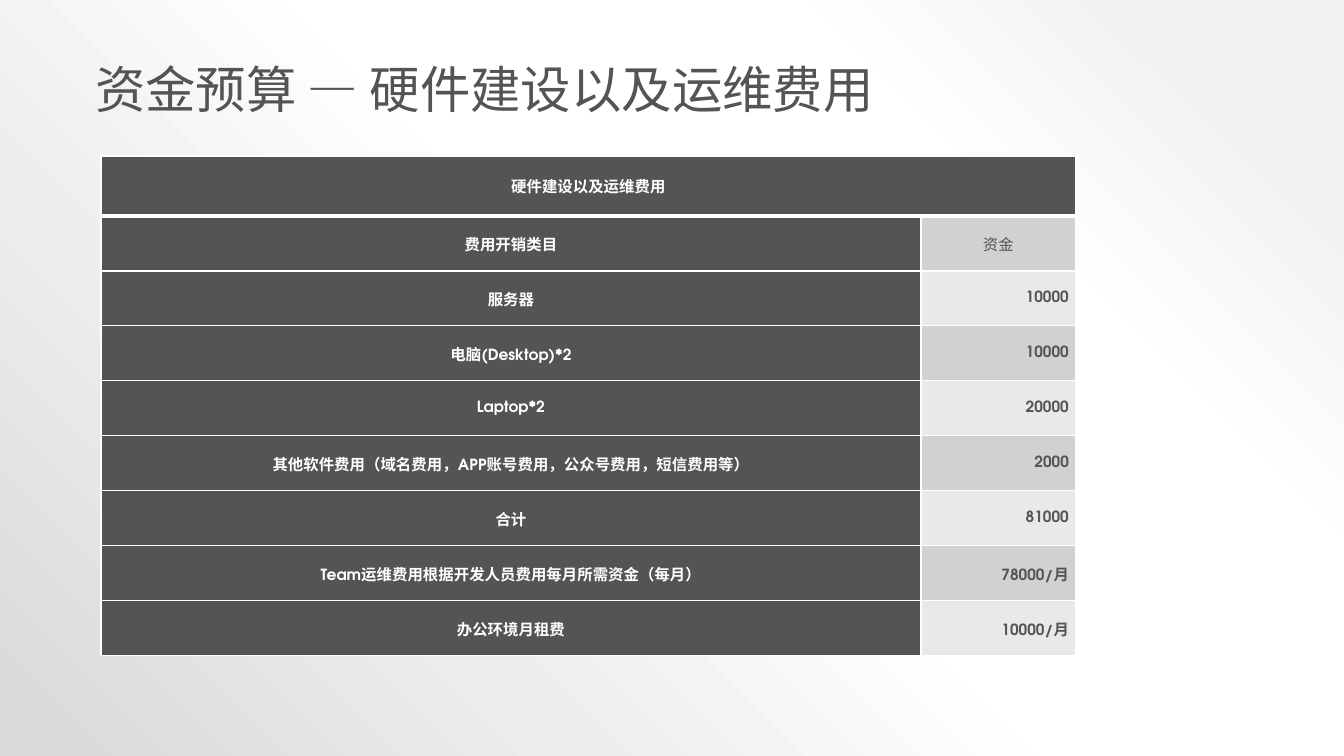
from lxml import etree
from pptx import Presentation
from pptx import util as u
from pptx.dml.color import RGBColor
from pptx.enum import text
from pptx.oxml import parse_xml
from pptx.oxml.ns import nsdecls, qn

SCALE = 914400 / 100.8
COLORS = {"dark": "545454", "white": "FFFFFF", "band": "D1D1D1",
          "light": "E9E9E9", "glow": "F2F2F2", "shade": "D9D9D9"}
LATIN, CHINESE = "TeX Gyre Adventor", "Noto Sans CJK SC"
TITLE = "资金预算 — 硬件建设以及运维费用"
HEADER = "硬件建设以及运维费用"
COSTS = [
    ("费用开销类目", "资金"),
    ("服务器", "10000"),
    ("电脑(Desktop)*2", "10000"),
    ("Laptop*2", "20000"),
    ("其他软件费用（域名费用，APP账号费用，公众号费用，短信费用等）", "2000"),
    ("合计", "81000"),
    ("Team运维费用根据开发人员费用每月所需资金（每月）", "78000/月"),
    ("办公环境月租费", "10000/月"),
]


def px(length):
    """Turn pixels into EMU."""
    return u.Emu(round(length * SCALE))


def color(name):
    """Look up a named colour."""
    return RGBColor.from_string(COLORS[name])


def style_text(para, size, latin, tint, bold=False):
    """Set the font of a whole paragraph, Chinese face included."""
    font = para.font
    font.size, font.name, font.bold = u.Pt(size), latin, bold
    font.color.rgb = color(tint)
    face = para._p.pPr.find(qn("a:defRPr")).find(qn("a:latin"))
    east = etree.Element(qn("a:ea"), typeface=CHINESE)
    face.addnext(east)


def paint_background(page):
    """Fill the page with a radial gradient centred on its top right corner."""
    page.background.fill.gradient()
    stops = [(10, "glow"), (28, "white"), (48, "white"), (100, "shade")]
    marks = "".join(f'<a:gs pos="{place * 1000}"><a:srgbClr val="{COLORS[name]}"/></a:gs>'
                    for place, name in stops)
    gradient = page.element.find(".//" + qn("a:gradFill"))
    gradient.getparent().replace(gradient, parse_xml(
        f'<a:gradFill {nsdecls("a")} rotWithShape="1"><a:gsLst>{marks}</a:gsLst>'
        '<a:path path="circle"><a:fillToRect l="100000" b="100000"/></a:path></a:gradFill>'))


def add_title(page, left, top, width, height):
    """Place the page heading in the title placeholder."""
    title = page.shapes.title
    title.left, title.top, title.width, title.height = map(px, (left, top, width, height))
    frame = title.text_frame
    frame.text = TITLE
    frame.word_wrap = True
    frame.auto_size = text.MSO_AUTO_SIZE.NONE
    frame.vertical_anchor = text.MSO_ANCHOR.MIDDLE
    para = frame.paragraphs[0]
    para.alignment = text.PP_ALIGN.LEFT
    style_text(para, 36, CHINESE, "dark")


def draw_borders(cell, top, bottom):
    """Give a cell white borders, with top and bottom widths in points."""
    properties = cell._tc.get_or_add_tcPr()
    for side, width in (("L", 1), ("R", 1), ("T", top), ("B", bottom)):
        properties.append(parse_xml(
            f'<a:ln{side} {nsdecls("a")} w="{u.Pt(width)}"><a:solidFill>'
            f'<a:srgbClr val="{COLORS["white"]}"/></a:solidFill></a:ln{side}>'))


def fill_cell(cell, wording, fill, tint, align, bold=True, top=1, bottom=1):
    """Write and format one table cell."""
    draw_borders(cell, top, bottom)
    cell.fill.solid()
    cell.fill.fore_color.rgb = color(fill)
    cell.margin_left = cell.margin_right = px(7)
    cell.margin_top = cell.margin_bottom = 0
    cell.vertical_anchor = text.MSO_ANCHOR.MIDDLE
    cell.text = wording
    para = cell.text_frame.paragraphs[0]
    para.alignment = align
    style_text(para, 11, LATIN, tint, bold)


def add_budget(page, left, top, width, height):
    """Place the budget table with a merged header row."""
    center, right = text.PP_ALIGN.CENTER, text.PP_ALIGN.RIGHT
    count = len(COSTS) + 1
    table = page.shapes.add_table(count, 2, *map(px, (left, top, width, height))).table
    table.first_row = table.horz_banding = False
    amount_width, row_height = 155, 55
    table.columns[0].width = px(width - amount_width)
    table.columns[1].width = px(amount_width)
    for row in table.rows:
        row.height = px(row_height)
    table.rows[0].height = px(height - row_height * len(COSTS))
    table.cell(0, 0).merge(table.cell(0, 1))
    for column, wording in enumerate((HEADER, "")):
        fill_cell(table.cell(0, column), wording, "dark", "white", center, bottom=3)
    for index, (item, amount) in enumerate(COSTS, 1):
        heading = index == 1
        edge = 3 if heading else 1
        fill_cell(table.cell(index, 0), item, "dark", "white", center, top=edge)
        fill_cell(table.cell(index, 1), amount, "band" if index % 2 else "light", "dark",
                  center if heading else right, bold=not heading, top=edge)


def main():
    """Build and save the deck."""
    deck = Presentation()
    deck.slide_width, deck.slide_height = px(1344), px(756)
    page = deck.slides.add_slide(deck.slide_layouts[5])
    paint_background(page)
    add_title(page, 85, 52, 1104, 72)
    add_budget(page, 101, 156, 975, 500)
    deck.save("out.pptx")


if __name__ == "__main__":
    main()
